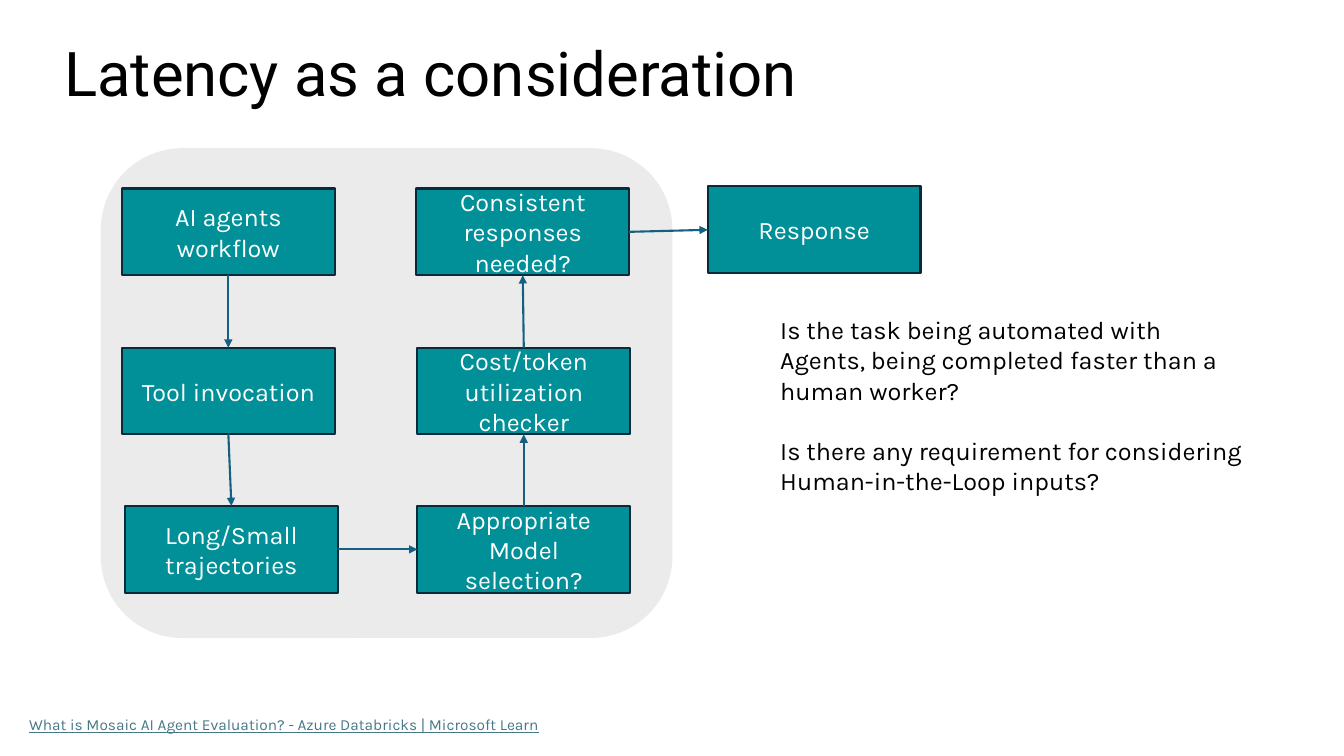
import pptx
import pptx.dml.color
import pptx.enum.shapes
import pptx.enum.text
import pptx.oxml
import pptx.oxml.ns
import pptx.util
from pptx.util import Inches

COLORS = {
    "panel": "D9D9D9",
    "box": "019097",
    "box_line": "092A39",
    "arrow": "156082",
    "link": "467886",
    "black": "000000",
    "white": "FFFFFF",
}
TOP, LEFT, BOTTOM, RIGHT = range(4)  # connection sites of a rectangle
ALIGN = pptx.enum.text.PP_ALIGN
ANCHOR = pptx.enum.text.MSO_ANCHOR
SHAPE = pptx.enum.shapes.MSO_SHAPE


def rgb(name):
    return pptx.dml.color.RGBColor.from_string(COLORS[name])


class SlideBuilder:
    body_font = "Karla"
    title_font = "Roboto"
    box_size = (2.11, 0.86)
    line_width = pptx.util.Pt(1.5)

    def __init__(self, slide):
        self.slide = slide

    def fill_text(self, frame, paragraphs, size, color, font=None, align=ALIGN.LEFT, gap=0):
        """Fill a text frame; gap is the space in points between paragraphs."""
        frame.word_wrap = True
        for index, text in enumerate(paragraphs):
            paragraph = frame.paragraphs[0] if index == 0 else frame.add_paragraph()
            paragraph.text = text
            paragraph.alignment = align
            if index:
                paragraph.space_before = pptx.util.Pt(gap)
            paragraph.font.name = font or self.body_font
            paragraph.font.size = pptx.util.Pt(size)
            paragraph.font.color.rgb = rgb(color)

    def text(self, left, top, width, height, paragraphs, size, color, **style):
        shape = self.slide.shapes.add_textbox(
            Inches(left), Inches(top), Inches(width), Inches(height))
        self.fill_text(shape.text_frame, paragraphs, size, color, **style)
        return shape.text_frame

    def filled(self, kind, left, top, width, height, color):
        shape = self.slide.shapes.add_shape(
            kind, Inches(left), Inches(top), Inches(width), Inches(height))
        shape.shadow.inherit = False
        shape.fill.solid()
        shape.fill.fore_color.rgb = rgb(color)
        return shape

    def panel(self, left, top, width, height):
        """Half-transparent rounded background."""
        shape = self.filled(SHAPE.ROUNDED_RECTANGLE, left, top, width, height, "panel")
        shape.line.fill.background()
        color = shape._element.spPr.find(".//" + pptx.oxml.ns.qn("a:srgbClr"))
        color.append(pptx.oxml.parse_xml(
            f'<a:alpha {pptx.oxml.ns.nsdecls("a")} val="50000"/>'))

    def box(self, left, top, label):
        shape = self.filled(SHAPE.RECTANGLE, left, top, *self.box_size, "box")
        shape.line.color.rgb = rgb("box_line")
        shape.line.width = self.line_width
        shape.text_frame.vertical_anchor = ANCHOR.MIDDLE
        self.fill_text(shape.text_frame, [label], 18, "white", align=ALIGN.CENTER)
        return shape

    def arrow(self, start, start_site, end, end_site):
        connector = self.slide.shapes.add_connector(
            pptx.enum.shapes.MSO_CONNECTOR.STRAIGHT, 0, 0, 0, 0)
        connector.begin_connect(start, start_site)
        connector.end_connect(end, end_site)
        connector.line.color.rgb = rgb("arrow")
        connector.line.width = self.line_width
        namespace = pptx.oxml.ns.nsdecls("a")
        connector.line._get_or_add_ln().append(
            pptx.oxml.parse_xml(f'<a:tailEnd {namespace} type="triangle"/>'))
        connector._element.spPr.append(
            pptx.oxml.parse_xml(f"<a:effectLst {namespace}/>"))


def main():
    presentation = pptx.Presentation()
    presentation.slide_width = Inches(13.33)
    presentation.slide_height = Inches(7.5)
    builder = SlideBuilder(presentation.slides.add_slide(presentation.slide_layouts[6]))

    builder.panel(1, 1.47, 5.67, 4.86)
    title = builder.text(0.27, 0.32, 8.01, 0.82, ["Latency as a consideration"], 44,
                         "black", font=builder.title_font, align=ALIGN.CENTER)
    title.vertical_anchor = ANCHOR.BOTTOM
    title.paragraphs[0].line_spacing = 0.9

    source = builder.text(
        0.19, 7.05, 7.13, 0.29,
        ["What is Mosaic AI Agent Evaluation? - Azure Databricks | Microsoft Learn"],
        11, "link")
    source.paragraphs[0].font.underline = True

    steps = [
        (1.21, 1.87, "AI agents workflow"),
        (1.21, 3.45, "Tool invocation"),
        (1.24, 5.02, "Long/Small trajectories"),
        (4.14, 5.02, "Appropriate Model selection?"),
        (4.14, 3.45, "Cost/token utilization checker"),
        (4.13, 1.87, "Consistent responses needed?"),
        (7.02, 1.85, "Response"),
    ]
    boxes = [builder.box(*step) for step in steps]
    down, right, up = (BOTTOM, TOP), (RIGHT, LEFT), (TOP, BOTTOM)
    directions = [down, down, right, up, up, right]
    for start, end, (start_site, end_site) in zip(boxes, boxes[1:], directions):
        builder.arrow(start, start_site, end, end_site)

    builder.text(
        7.64, 3.07, 4.81, 1.92,
        ["Is the task being automated with Agents, being completed faster than a human worker?",
         "Is there any requirement for considering Human-in-the-Loop inputs?"],
        18, "black", gap=21.6)

    presentation.save("out.pptx")


if __name__ == "__main__":
    main()
